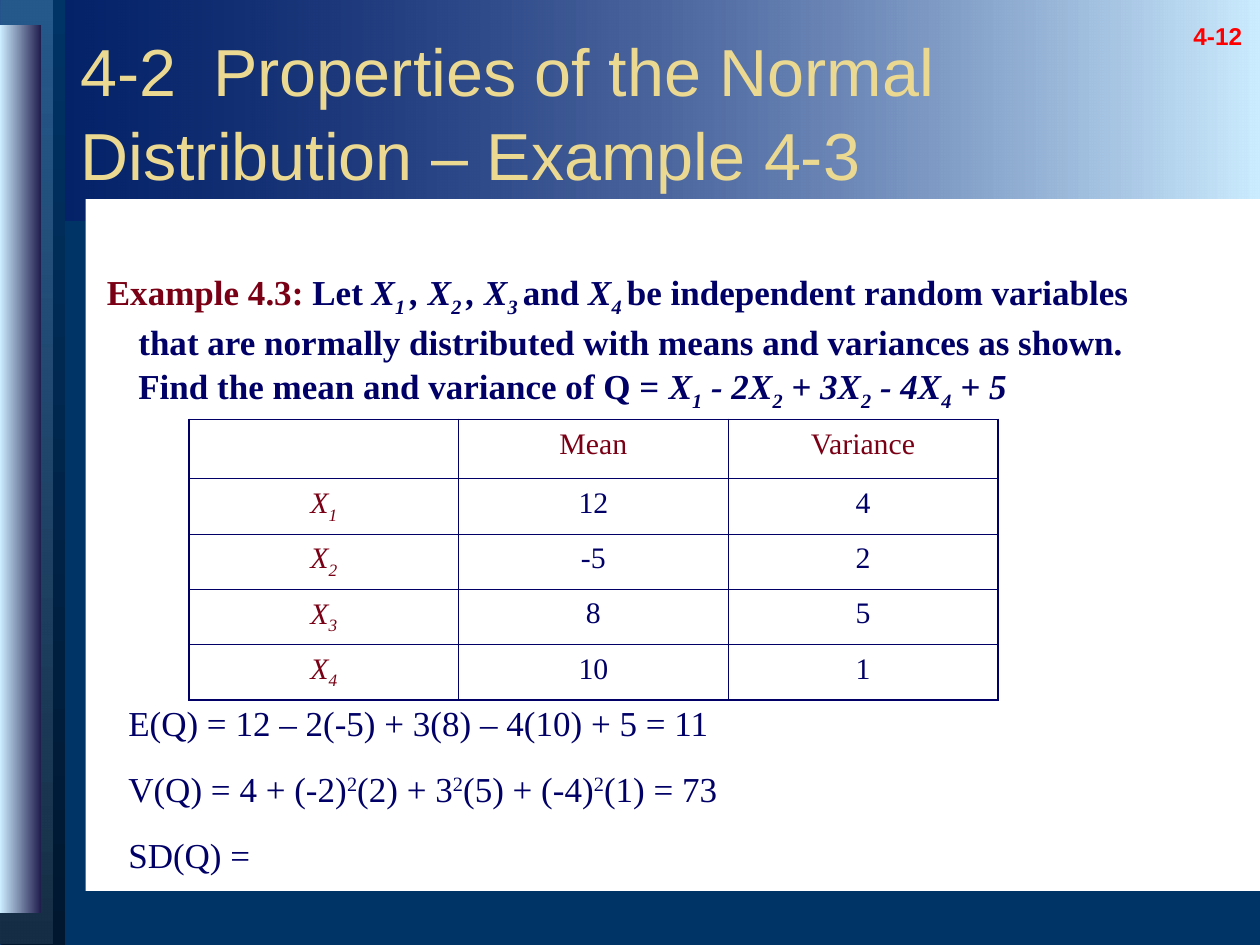
from lxml import etree
from pptx import Presentation
from pptx import util as u
from pptx.dml import color
from pptx.enum import shapes, text
from pptx.oxml import ns

NAVY, MAROON, DEEP_BLUE, PALE_BLUE = "000066", "790015", "003366", "CCECFF"
SERIF, SANS = "Times New Roman", "Arial"
BASELINES = {"_": "-25000", "^": "30000"}
LINE_SPACING = 1.05


def rgb(value):
    return color.RGBColor.from_string(value)


def write(frame, paragraphs, *, size, hue=NAVY, font=SERIF, bold=False,
          align=text.PP_ALIGN.LEFT, gap=0, hanging=0):
    """Each paragraph is a list of (words, marks[, hue]).

    Marks: i is italic, _ is subscript, ^ is superscript.
    """
    for index, pieces in enumerate(paragraphs):
        paragraph = frame.paragraphs[0] if index == 0 else frame.add_paragraph()
        paragraph.alignment = align
        paragraph.line_spacing = LINE_SPACING
        if index:
            paragraph.space_before = u.Pt(gap)
        if hanging:
            properties = paragraph._p.get_or_add_pPr()
            properties.set("marL", str(u.Inches(hanging)))
            properties.set("indent", str(-u.Inches(hanging)))
        for words, marks, *own_hue in pieces:
            run = paragraph.add_run()
            run.text = words
            run.font.name, run.font.size = font, u.Pt(size)
            run.font.bold, run.font.italic = bold, "i" in marks
            run.font.color.rgb = rgb(own_hue[0] if own_hue else hue)
            for mark, shift in BASELINES.items():
                if mark in marks:
                    run._r.get_or_add_rPr().set("baseline", shift)


def text_box(slide, box, paragraphs, anchor=text.MSO_ANCHOR.TOP, **style):
    frame = slide.shapes.add_textbox(*map(u.Inches, box)).text_frame
    frame.word_wrap = True
    frame.vertical_anchor = anchor
    write(frame, paragraphs, **style)


def panel(slide, box, *hues, angle=0, alphas=(100, 100)):
    """One hue gives a plain fill, two give a gradient."""
    rect = slide.shapes.add_shape(shapes.MSO_SHAPE.RECTANGLE, *map(u.Inches, box))
    rect.shadow.inherit = False
    rect.line.fill.background()
    if len(hues) == 1:
        rect.fill.solid()
        rect.fill.fore_color.rgb = rgb(hues[0])
        return
    rect.fill.gradient()
    rect.fill.gradient_angle = angle
    for stop, hue, position in zip(rect.fill.gradient_stops, hues, (0, 1)):
        stop.color.rgb = rgb(hue)
        stop.position = position
    for tint, alpha in zip(rect._element.spPr.iter(ns.qn("a:srgbClr")), alphas):
        if alpha < 100:
            etree.SubElement(tint, ns.qn("a:alpha"), val=str(alpha * 1000))


def backdrop(slide, box):
    left, top, width, height = box
    panel(slide, (left, top, width, 1.75), PALE_BLUE, NAVY, angle=180, alphas=(100, 38))
    panel(slide, (left + 0.01, top, 0.51, height), DEEP_BLUE, "00172F", angle=270)
    panel(slide, (left - 0.02, top - 0.01, 0.44, height), "336699", "172F46",
          angle=270, alphas=(73, 100))
    panel(slide, (left, top + 0.2, 0.33, height - 0.45), "1E1B4B", PALE_BLUE, angle=180)
    panel(slide, (left + 0.68, top + 1.58, width - 0.68, 5.49), "FFFFFF")


def cell_borders(cell, widths):
    """Widths in points: left, right, top, bottom."""
    properties = cell._tc.get_or_add_tcPr()
    for index, (side, width) in enumerate(zip("LRTB", widths)):
        line = etree.Element(ns.qn(f"a:ln{side}"), w=str(u.Pt(width)))
        fill = etree.SubElement(line, ns.qn("a:solidFill"))
        etree.SubElement(fill, ns.qn("a:srgbClr"), val=NAVY)
        properties.insert(index, line)


def moments_table(slide, box, rows):
    left, top, width, height = box
    header_height = 0.47
    row_count, column_count = len(rows), len(rows[0])
    table = slide.shapes.add_table(row_count, column_count, *map(u.Inches, box)).table
    for column in table.columns:
        column.width = u.Inches(width / column_count)
    for r, row in enumerate(rows):
        body_height = (height - header_height) / (row_count - 1)
        table.rows[r].height = u.Inches(body_height if r else header_height)
        for c, pieces in enumerate(row):
            cell = table.cell(r, c)
            cell.fill.background()
            outer = (c == 0, c == column_count - 1, r == 0, r == row_count - 1)
            cell_borders(cell, [1.08 if edge else 0.45 for edge in outer])
            write(cell.text_frame, [pieces], size=17, align=text.PP_ALIGN.CENTER,
                  hue=NAVY if r and c else MAROON)


def example_slide(slide, box):
    left, top = box[:2]
    backdrop(slide, box)
    text_box(slide, (left + 9.29, top - 0.13, 0.75, 0.56), [[("4-12", "_")]], size=24,
             hue="FF0000", font=SANS, bold=True, align=text.PP_ALIGN.CENTER)
    text_box(slide, (left + 0.75, top + 2.08, 8.5, 3.33), [[
        ("Example 4.3: ", "", MAROON), ("Let ", ""),
        ("X", "i"), ("1 ", "i_"), (", X", "i"), ("2 ", "i_"), (", X", "i"), ("3 ", "i_"),
        ("and", ""), (" X", "i"), ("4 ", "i_"),
        ("be independent random variables that are normally distributed with means "
         "and variances as shown. Find the mean and variance of Q = ", ""),
        ("X", "i"), ("1", "i_"), (" - 2X", "i"), ("2", "i_"), (" + 3X", "i"), ("2", "i_"),
        (" - 4X", "i"), ("4", "i_"), (" + 5", "i"),
    ]], size=20, bold=True, hanging=0.25)
    text_box(slide, (left + 0.54, top + 0.25, 9.27, 1.25),
             [[("4-2  Properties of the Normal Distribution – Example 4-3", "")]],
             anchor=text.MSO_ANCHOR.MIDDLE, size=38, hue="EBD891", font=SANS)

    moments = [("12", "4"), ("-5", "2"), ("8", "5"), ("10", "1")]
    rows = [[[], [("Mean", "")], [("Variance", "")]]]
    for number, (mean, variance) in enumerate(moments, 1):
        rows.append([[("X", "i"), (str(number), "i_")], [(mean, "")], [(variance, "")]])
    moments_table(slide, (left + 1.5, top + 3.33, 6.42, 2.17), rows)

    text_box(slide, (left + 0.92, top + 5.5, 7.67, 1.45), [
        [("E(Q) = 12 – 2(-5) + 3(8) – 4(10) + 5 = 11", "")],
        [("V(Q) = 4 + (-2)", ""), ("2", "^"), ("(2) + 3", ""), ("2", "^"),
         ("(5) + (-4)", ""), ("2", "^"), ("(1) = 73", "")],
        [("SD(Q) =", "")],
    ], size=20, gap=12.5)


def main():
    deck = Presentation()
    deck.slide_width, deck.slide_height = u.Inches(10), u.Inches(7.5)
    slide = deck.slides.add_slide(deck.slide_layouts[6])
    slide.background.fill.solid()
    slide.background.fill.fore_color.rgb = rgb(DEEP_BLUE)
    example_slide(slide, (0, 0, 10, 7.5))
    deck.save("out.pptx")


if __name__ == "__main__":
    main()
